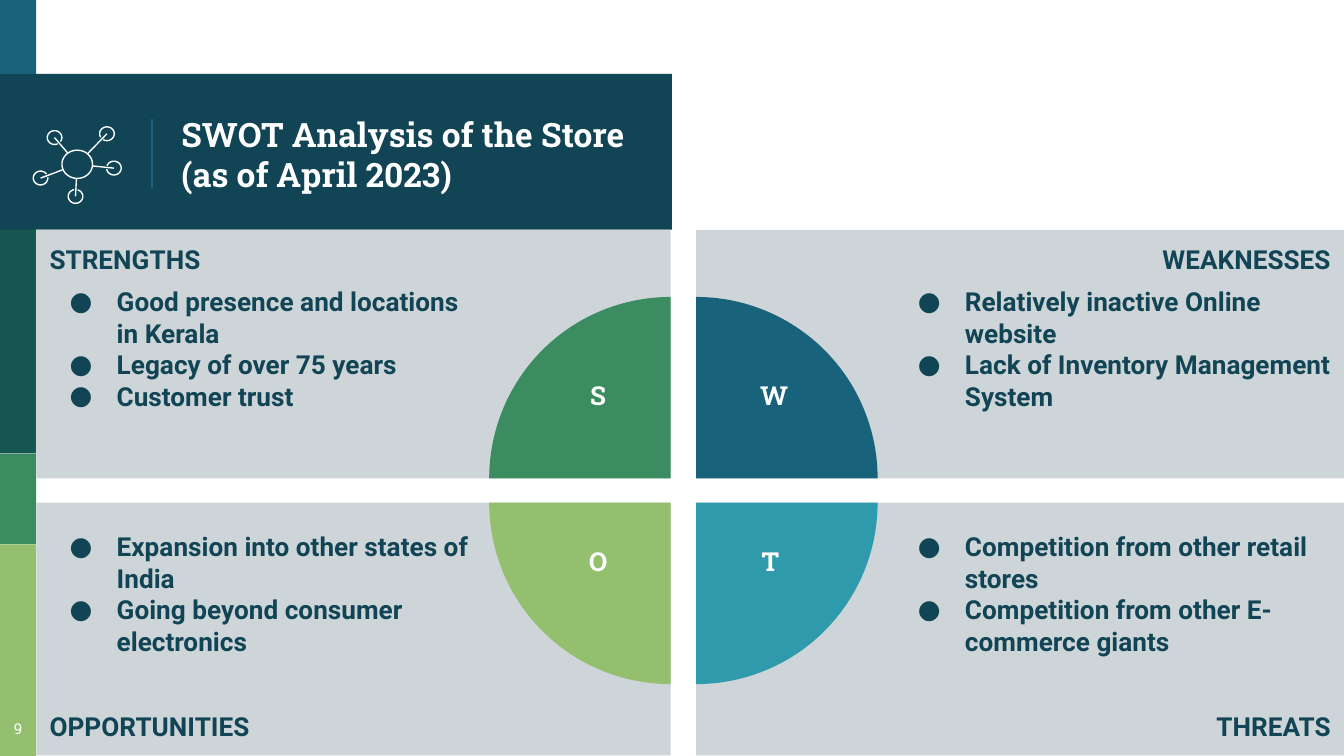
import dataclasses
import math

import lxml.etree
import pptx
import pptx.dml.color
import pptx.enum.shapes
import pptx.enum.text
import pptx.oxml.ns
import pptx.util

ALIGN = pptx.enum.text.PP_ALIGN
ANCHOR = pptx.enum.text.MSO_ANCHOR
SHAPE = pptx.enum.shapes.MSO_SHAPE
QN = pptx.oxml.ns.qn


@dataclasses.dataclass(frozen=True)
class Theme:
    """Colours, fonts and type sizes of the slide."""
    navy: str = "114454"
    blue: str = "18637B"
    pine: str = "165751"
    green: str = "3B8D61"
    lime: str = "94BF6E"
    teal: str = "309AAD"
    panel: str = "CED5D8"
    white: str = "FFFFFF"
    body_font: str = "Roboto"
    head_font: str = "Roboto Slab"
    title_size: int = 18
    body_size: int = 14
    number_size: int = 8
    line_width: float = 0.75


@dataclasses.dataclass(frozen=True)
class Box:
    """A rectangle in inches."""
    left: float
    top: float
    width: float
    height: float

    def inner(self, left, top, width, height):
        """Return the box at the given shares of this one."""
        return Box(self.left + left * self.width, self.top + top * self.height,
                   width * self.width, height * self.height)

    def emu(self):
        """Return left, top, width and height as lengths."""
        return [pptx.util.Inches(n) for n in dataclasses.astuple(self)]


@dataclasses.dataclass(frozen=True)
class Quadrant:
    """Content of one quarter of the analysis."""
    heading: str
    points: tuple
    column: int
    row: int
    colour: str
    turn: int
    reach: float
    letter_width: float


THEME = Theme()
PAGE = Box(0, 0, 10, 5.625)
SIDEBAR_WIDTH = 0.27
BAND = Box(0, 0.55, 5, 1.16)
COLUMNS = ((0.27, 4.72), (5.18, 4.82))
ROWS = ((1.71, 1.85), (3.74, 1.88))
RADIUS = 1.35
QUADRANTS = (
    Quadrant("STRENGTHS", ("Good presence and locations in Kerala", "Legacy of over 75 years",
                           "Customer trust"), 0, 0, THEME.green, 0, 0.4, 0.37),
    Quadrant("WEAKNESSES", ("Relatively inactive Online website",
                            "Lack of Inventory Management System"),
             1, 0, THEME.blue, 90, 0.43, 0.72),
    Quadrant("OPPORTUNITIES", ("Expansion into other states of India",
                               "Going beyond consumer electronics"),
             0, 1, THEME.lime, 270, 0.4, 0.45),
    Quadrant("THREATS", ("Competition from other retail stores",
                         "Competition from other E-commerce giants"),
             1, 1, THEME.teal, 180, 0.41, 0.44),
)


def rgb(colour):
    """Return a colour object for a hex string."""
    return pptx.dml.color.RGBColor.from_string(colour)


def add_filled(slide, kind, box, colour):
    """Add a flat preset shape without outline."""
    shape = slide.shapes.add_shape(kind, *box.emu())
    shape.shadow.inherit = False
    shape.fill.solid()
    shape.fill.fore_color.rgb = rgb(colour)
    shape.line.fill.background()
    return shape


def set_line(line, colour):
    """Give an outline the theme's thin stroke."""
    line.color.rgb = rgb(colour)
    line.width = pptx.util.Pt(THEME.line_width)


def add_line(slide, start, end, colour):
    """Add a straight line between two points."""
    connector = slide.shapes.add_connector(
        pptx.enum.shapes.MSO_CONNECTOR.STRAIGHT, *[pptx.util.Inches(n) for n in (*start, *end)])
    set_line(connector.line, colour)
    lxml.etree.SubElement(connector._element.spPr, QN("a:effectLst"))


def set_frame(frame, anchor, left=0.1, top=0.1, right=0.1, bottom=0.1):
    """Set wrapping, anchor and insets of a text frame."""
    frame.word_wrap = True
    frame.vertical_anchor = anchor
    frame.margin_left, frame.margin_top, frame.margin_right, frame.margin_bottom = (
        pptx.util.Inches(n) for n in (left, top, right, bottom))


def set_text(paragraph, text, font, size, colour, align=ALIGN.LEFT, bold=True):
    """Write and format one paragraph."""
    paragraph.text = text
    paragraph.alignment = align
    for run in paragraph.runs:
        run.font.name = font
        run.font.size = pptx.util.Pt(size)
        run.font.bold = bold
        run.font.color.rgb = rgb(colour)


def add_bullet(paragraph):
    """Give a paragraph a round bullet with a hanging indent."""
    properties = paragraph._p.get_or_add_pPr()
    properties.set("marL", str(pptx.util.Inches(0.5)))
    properties.set("indent", str(pptx.util.Inches(-0.35)))
    tint = lxml.etree.SubElement(properties, QN("a:buClr"))
    lxml.etree.SubElement(tint, QN("a:srgbClr"), val=THEME.navy)
    lxml.etree.SubElement(properties, QN("a:buFont"), typeface=THEME.body_font)
    lxml.etree.SubElement(properties, QN("a:buChar"), char="●")


def add_ring(slide, centre, width, height, facing=0, gap=0):
    """Draw an elliptical outline, open by the gap on the facing side."""
    steps = 48
    sweep = 2 * math.pi - gap
    angles = [facing + gap / 2 + sweep * step / steps for step in range(steps + 1)]
    points = [(pptx.util.Inches(centre[0] + width / 2 * math.cos(angle)),
               pptx.util.Inches(centre[1] + height / 2 * math.sin(angle))) for angle in angles]
    builder = slide.shapes.build_freeform(*points[0])
    builder.add_line_segments(points[1:], close=gap == 0)
    ring = builder.convert_to_shape()
    ring.shadow.inherit = False
    ring.fill.background()
    set_line(ring.line, THEME.white)


def draw_network_icon(slide, box):
    """Draw a hub with five satellites in the box."""
    hub = (box.left + 0.5 * box.width, box.top + 0.49 * box.height)
    hub_width, hub_height = 0.35 * box.width, 0.37 * box.height
    for across, down in ((0.84, 0.09), (0.24, 0.14), (0.08, 0.67), (0.48, 0.91), (0.92, 0.54)):
        satellite = (box.left + across * box.width, box.top + down * box.height)
        dx, dy = satellite[0] - hub[0], satellite[1] - hub[1]
        add_ring(slide, satellite, box.width / 6, 0.18 * box.height, math.atan2(-dy, -dx), 0.5)
        share = 1 / math.hypot(2 * dx / hub_width, 2 * dy / hub_height)
        add_line(slide, satellite, (hub[0] + share * dx, hub[1] + share * dy), THEME.white)
    add_ring(slide, hub, hub_width, hub_height)


def draw_sidebar(slide, box):
    """Stack the coloured strips and put the slide number at the foot."""
    strips = ((0, 0.1, THEME.blue), (0.3, 0.6, THEME.pine),
              (0.6, 0.72, THEME.green), (0.72, 1, THEME.lime))
    for top, bottom, colour in strips:
        add_filled(slide, SHAPE.RECTANGLE, box.inner(0, top, 1, bottom - top), colour)
    number = slide.shapes.add_textbox(*box.inner(0, 0.94, 1, 0.06).emu()).text_frame
    set_frame(number, ANCHOR.TOP, left=0, right=0)
    set_text(number.paragraphs[0], "9", THEME.head_font, THEME.number_size, THEME.white,
             ALIGN.CENTER, bold=False)


def draw_header(slide, box):
    """Draw the title band with its icon and divider."""
    add_filled(slide, SHAPE.RECTANGLE, box, THEME.navy)
    divider = box.left + 0.226 * box.width
    add_line(slide, (divider, box.top + 0.29 * box.height),
             (divider, box.top + 0.73 * box.height), THEME.blue)
    title = slide.shapes.title
    title.left, title.top, title.width, title.height = box.inner(0.25, 0.03, 0.7, 0.97).emu()
    set_frame(title.text_frame, ANCHOR.MIDDLE, right=0.05)
    set_text(title.text_frame.paragraphs[0], "SWOT Analysis of the Store (as of April 2023)",
             THEME.head_font, THEME.title_size, THEME.white)
    slide.shapes._spTree.append(title._element)
    draw_network_icon(slide, box.inner(0.05, 0.34, 0.13, 0.49))


def draw_quadrant(slide, box, quadrant):
    """Draw a panel with its points, quarter disc and letter at the inner corner."""
    lower, right = quadrant.row == 1, quadrant.column == 1
    panel = add_filled(slide, SHAPE.RECTANGLE, box, THEME.panel)
    frame = panel.text_frame
    set_frame(frame, ANCHOR.BOTTOM if lower else ANCHOR.TOP,
              left=1.5 if right else 0.1, right=0.1 if right else 1.5)
    lines = [*quadrant.points, quadrant.heading] if lower else [quadrant.heading, *quadrant.points]
    for index, line in enumerate(lines):
        paragraph = frame.add_paragraph() if index else frame.paragraphs[0]
        is_heading = line == quadrant.heading
        set_text(paragraph, line, THEME.body_font, THEME.body_size, THEME.navy,
                 ALIGN.RIGHT if is_heading and right else ALIGN.LEFT)
        if not is_heading:
            add_bullet(paragraph)
        if index == 1 and not lower:
            paragraph.space_before = pptx.util.Pt(6)
        if is_heading and lower:
            paragraph.space_before = pptx.util.Pt(29)

    corner_x = box.left if right else box.left + box.width
    corner_y = box.top if lower else box.top + box.height
    disc = Box(corner_x - RADIUS, corner_y - RADIUS, 2 * RADIUS, 2 * RADIUS)
    quarter = add_filled(slide, SHAPE.PIE, disc, quadrant.colour)
    quarter.adjustments[0], quarter.adjustments[1] = 108, 162
    quarter.rotation = quadrant.turn

    centre_x = corner_x + (1 if right else -1) * quadrant.reach * RADIUS
    letter_top = corner_y + (0.2 if lower else -0.58) * RADIUS
    letter_box = Box(centre_x - quadrant.letter_width / 2, letter_top, quadrant.letter_width, 0.5)
    letter = slide.shapes.add_textbox(*letter_box.emu()).text_frame
    set_frame(letter, ANCHOR.TOP, top=0.05, bottom=0.05)
    set_text(letter.paragraphs[0], quadrant.heading[0], THEME.head_font, THEME.body_size,
             THEME.white, ALIGN.CENTER)


def main():
    """Build and save the slide."""
    deck = pptx.Presentation()
    deck.slide_width, deck.slide_height = PAGE.emu()[2:]
    slide = deck.slides.add_slide(deck.slide_layouts[5])
    draw_sidebar(slide, Box(0, 0, SIDEBAR_WIDTH, PAGE.height))
    draw_header(slide, BAND)
    for quadrant in QUADRANTS:
        left, width = COLUMNS[quadrant.column]
        top, height = ROWS[quadrant.row]
        draw_quadrant(slide, Box(left, top, width, height), quadrant)
    deck.save("out.pptx")


if __name__ == "__main__":
    main()
